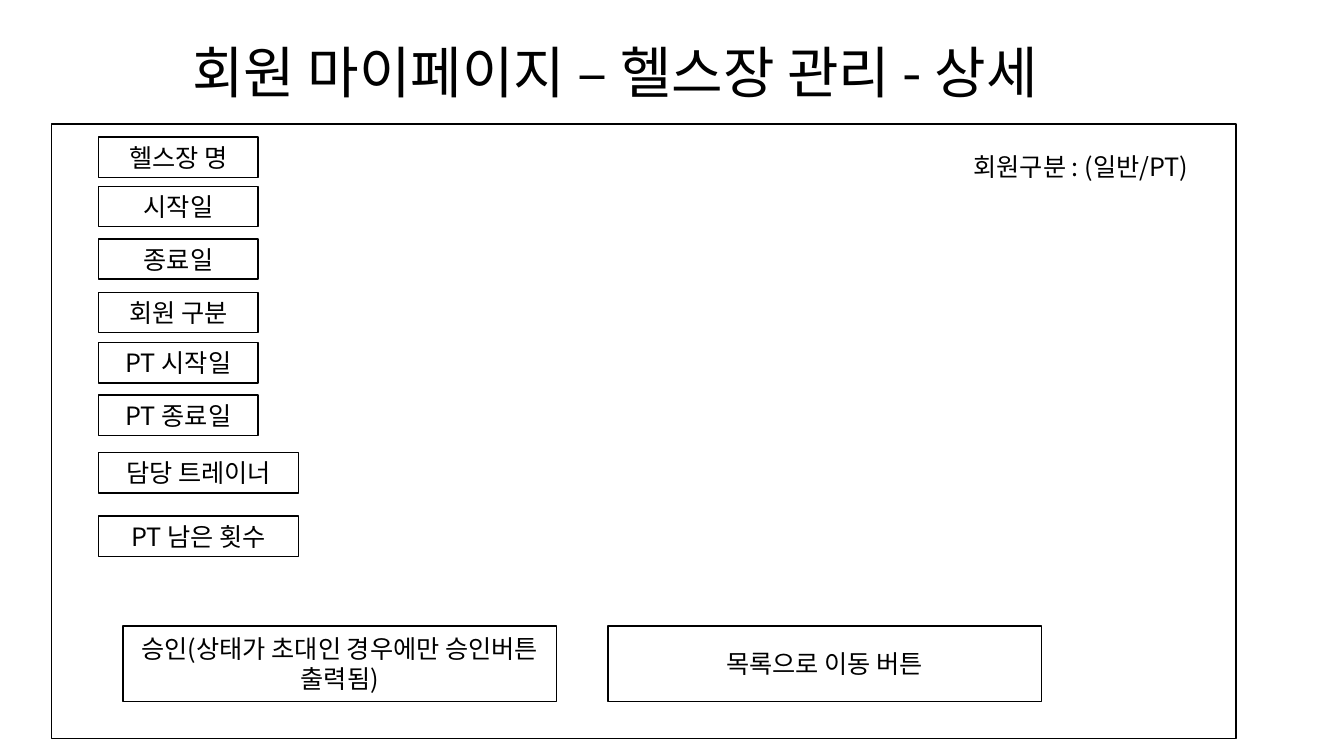
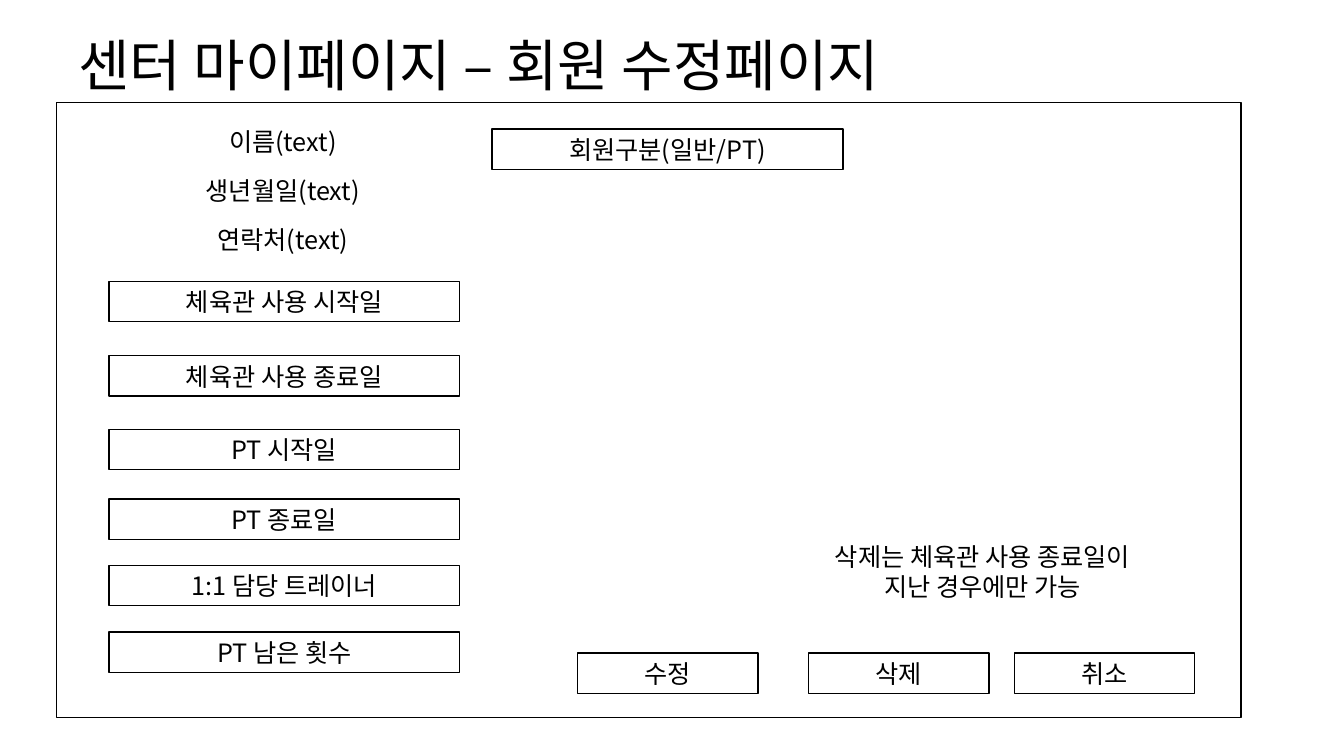
from lxml.etree import SubElement
from pptx import Presentation
from pptx.dml.color import RGBColor
from pptx.enum.shapes import MSO_SHAPE
from pptx.enum.text import MSO_ANCHOR, MSO_AUTO_SIZE, PP_ALIGN
from pptx.oxml.ns import qn
from pptx.util import Inches, Pt

COLORS = {"paper": "FFFFFF", "ink": "000000"}
FONT = "Noto Sans CJK KR"
FIELD_HEIGHT = 0.4


class Wireframe:
    title_size = 40
    body_size = 18

    def __init__(self, deck):
        self.deck = deck
        self.slide = None

    def color(self, role):
        return RGBColor.from_string(COLORS[role])

    def set_text(self, frame, text, size, anchor=MSO_ANCHOR.TOP, wrap=True):
        frame.word_wrap = wrap
        frame.vertical_anchor = anchor
        paragraph = frame.paragraphs[0]
        paragraph.text = text
        paragraph.alignment = PP_ALIGN.CENTER
        font = paragraph.font
        font.size = Pt(size)
        font.color.rgb = self.color("ink")
        font.name = FONT
        defaults = paragraph._p.pPr.find(qn("a:defRPr"))
        SubElement(defaults, qn("a:ea")).set("typeface", FONT)

    def page(self, title, left, top, width):
        self.slide = self.deck.slides.add_slide(self.deck.slide_layouts[5])
        heading = self.slide.shapes.title
        heading.left, heading.top = Inches(left), Inches(top)
        heading.width, heading.height = Inches(width), Inches(0.77)
        self.set_text(heading.text_frame, title, self.title_size, wrap=False)
        heading.text_frame.auto_size = MSO_AUTO_SIZE.SHAPE_TO_FIT_TEXT

    def box(self, left, top, width, height=FIELD_HEIGHT, text=None):
        outline = self.slide.shapes.add_shape(
            MSO_SHAPE.RECTANGLE, Inches(left), Inches(top), Inches(width), Inches(height))
        outline.shadow.inherit = False
        outline.fill.solid()
        outline.fill.fore_color.rgb = self.color("paper")
        outline.line.color.rgb = self.color("ink")
        outline.line.width = Pt(1)
        if text:
            self.set_text(outline.text_frame, text, self.body_size, MSO_ANCHOR.MIDDLE)

    def panel(self, left, top):
        self.box(left, top, 11.75, 6.1)

    def fields(self, left, width, rows):
        for top, text in rows:
            self.box(left, top, width, text=text)

    def buttons(self, top, width, height, columns):
        for left, text in columns:
            self.box(left, top, width, height, text)

    def note(self, left, top, width, text, height=FIELD_HEIGHT):
        label = self.slide.shapes.add_textbox(
            Inches(left), Inches(top), Inches(width), Inches(height))
        self.set_text(label.text_frame, text, self.body_size)
        label.text_frame.auto_size = MSO_AUTO_SIZE.SHAPE_TO_FIT_TEXT


deck = Presentation()
deck.slide_width, deck.slide_height = Inches(13.33), Inches(7.5)
wireframe = Wireframe(deck)

wireframe.page("회원 마이페이지 – 헬스장 관리 - 상세", 1.22, 0.32, 9.76)
wireframe.panel(0.51, 1.23)
wireframe.fields(0.98, 1.58, [
    (1.36, "헬스장 명"),
    (1.85, "시작일"),
    (2.37, "종료일"),
    (2.9, "회원 구분"),
    (3.4, "PT 시작일"),
    (3.92, "PT 종료일"),
])
wireframe.fields(0.98, 1.98, [(4.49, "담당 트레이너"), (5.12, "PT 남은 횟수")])
wireframe.note(8.72, 1.45, 4, "회원구분 : (일반/PT)")
wireframe.buttons(6.21, 4.3, 0.75, [
    (1.22, "승인(상태가 초대인 경우에만 승인버튼 출력됨)"),
    (6.03, "목록으로 이동 버튼"),
])

wireframe.page("센터 마이페이지 – 회원 수정페이지", 0.18, 0.25, 9.14)
wireframe.panel(0.56, 1.02)
for row, text in enumerate(["이름(text)", "생년월일(text)", "연락처(text)"]):
    wireframe.note(1.08, 1.2 + 0.49 * row, 3.45, text)
wireframe.fields(1.08, 3.48, [
    (2.79, "체육관 사용 시작일"),
    (3.53, "체육관 사용 종료일"),
    (4.26, "PT 시작일"),
    (4.95, "PT 종료일"),
    (5.61, "1:1 담당 트레이너"),
    (6.27, "PT 남은 횟수"),
])
wireframe.fields(4.88, 3.48, [(1.28, "회원구분(일반/PT)")])
wireframe.note(8.02, 5.32, 3.45, "삭제는 체육관 사용 종료일이 지난 경우에만 가능", 0.71)
wireframe.buttons(6.48, 1.79, FIELD_HEIGHT, [(5.73, "수정"), (8.02, "삭제"), (10.06, "취소")])

deck.save("out.pptx")
